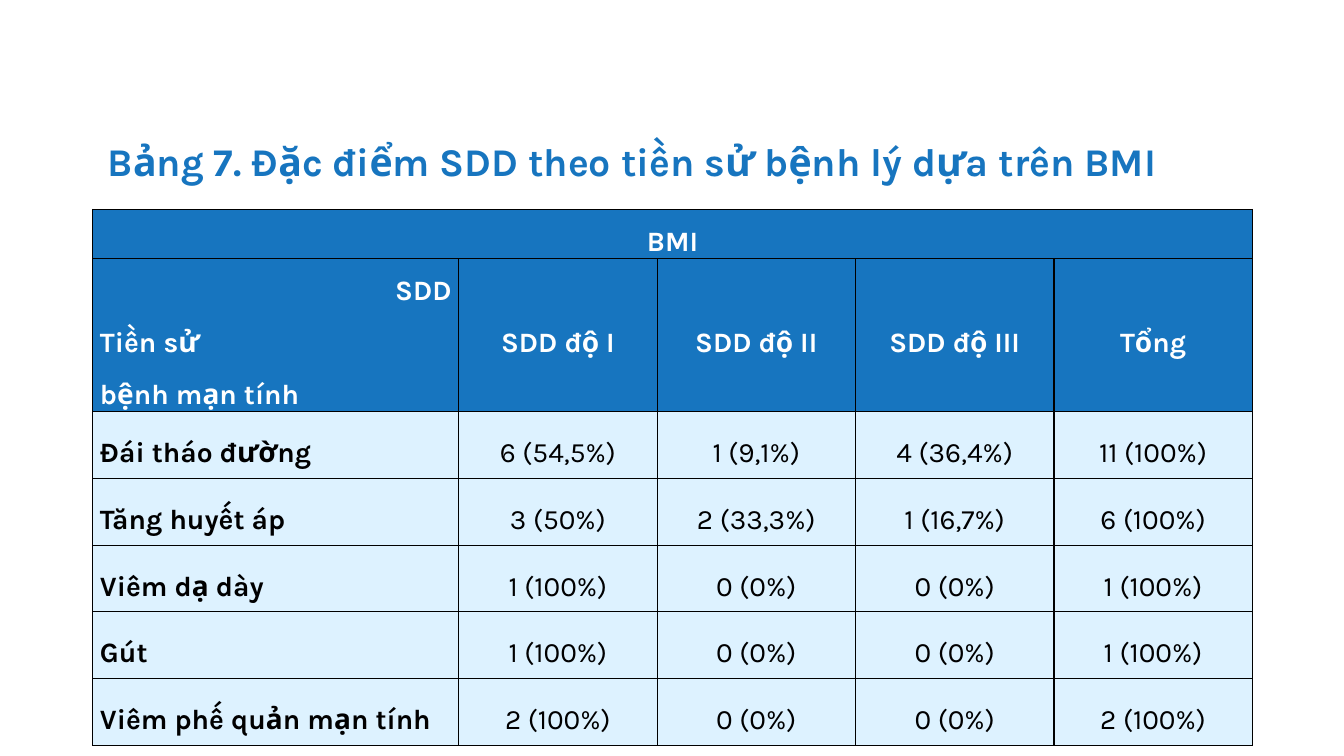
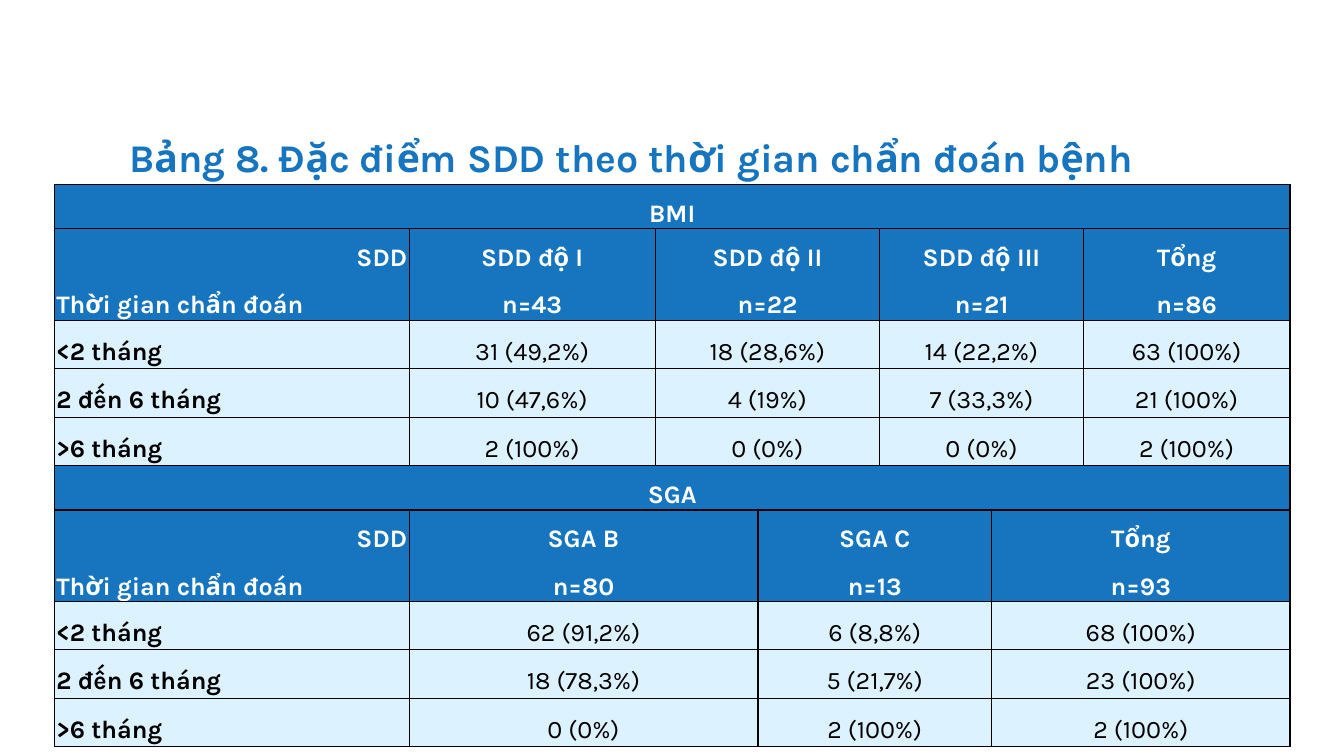
from itertools import chain

from lxml import etree
from pptx import Presentation
from pptx.dml.color import RGBColor
from pptx.enum import text
from pptx.oxml import ns
from pptx.util import Cm, Pt

# Shared look
FONT = "Karla"
BLUE, PALE, WHITE, BLACK = "1775BF", "DDF2FF", "FFFFFF", "000000"
LEFT, CENTER, RIGHT = text.PP_ALIGN.LEFT, text.PP_ALIGN.CENTER, text.PP_ALIGN.RIGHT
TITLE_ONLY = 5


def rgb(color):
    return RGBColor.from_string(color)


def add_run(p, words, size=18, color=BLACK, bold=False):
    r = p.add_run()
    r.text = words
    r.font.name = FONT
    r.font.size = Pt(size)
    r.font.bold = bold
    r.font.color.rgb = rgb(color)


def add_titled_slide(prs, title, left, top, width):
    s = prs.slides.add_slide(prs.slide_layouts[TITLE_ONLY])
    sp = s.shapes.title
    sp.left, sp.top, sp.width, sp.height = Cm(left), Cm(top), Cm(width), Cm(1.45)
    tf = sp.text_frame
    tf.word_wrap = True
    tf.auto_size = text.MSO_AUTO_SIZE.NONE
    tf.vertical_anchor = text.MSO_ANCHOR.TOP
    p = tf.paragraphs[0]
    p.alignment = LEFT
    add_run(p, title, size=28, color=BLUE, bold=True)
    return s


def set_borders(cell, color=BLACK, width=1):
    tc_pr = cell._tc.get_or_add_tcPr()
    for side in ("a:lnL", "a:lnR", "a:lnT", "a:lnB"):
        ln = etree.SubElement(tc_pr, ns.qn(side), w=str(Pt(width)))
        fill = etree.SubElement(ln, ns.qn("a:solidFill"))
        etree.SubElement(fill, ns.qn("a:srgbClr"), val=color)


def style_cell(cell, fill, inset):
    set_borders(cell)
    cell.fill.solid()
    cell.fill.fore_color.rgb = rgb(fill)
    cell.vertical_anchor = text.MSO_ANCHOR.MIDDLE
    cell.margin_left = cell.margin_right = Cm(inset)
    cell.margin_top = cell.margin_bottom = 0


def write_cell(cell, words, aligns, **font):
    """Write one paragraph per line; the last alignment serves all later lines."""
    tf = cell.text_frame
    for i, line in enumerate(words.split("\n")):
        p = tf.add_paragraph() if i else tf.paragraphs[0]
        p.alignment = aligns[min(i, len(aligns) - 1)]
        p.line_spacing = 1.5
        p.space_before = p.space_after = Pt(1)
        add_run(p, line, **font)


def add_section(tbl, first_row, section, size, inset):
    """Fill a banner row, a header row and the body rows."""
    banner, spans, *rows = section
    for i, values in enumerate([[banner], *rows]):
        row, is_head, col = first_row + i, i < 2, 0
        for cell in tbl.rows[row].cells:
            style_cell(cell, BLUE if is_head else PALE, inset)
        for j, words in enumerate(values):
            span = spans[j] if i else len(tbl.columns)
            cell = tbl.cell(row, col)
            if span > 1:
                cell.merge(tbl.cell(row, col + span - 1))
            is_label = i > 0 and j == 0
            aligns = [CENTER]
            if is_label:
                aligns = [RIGHT, LEFT] if is_head else [LEFT]
            write_cell(cell, words, aligns, size=size, bold=is_head or is_label,
                       color=WHITE if is_head else BLACK)
            col += span
    return first_row + 1 + len(rows)


def add_data_table(s, left, top, cols, heights, sections, size, inset):
    """heights: banner, header and body row heights in cm."""
    banner, header, body = heights
    row_heights = list(chain.from_iterable(
        [banner, header] + [body] * (len(section) - 3) for section in sections))
    tbl = s.shapes.add_table(len(row_heights), len(cols), Cm(left), Cm(top),
                             Cm(sum(cols)), Cm(sum(row_heights))).table
    tbl.first_row = tbl.horz_banding = False
    for column, width in zip(tbl.columns, cols):
        column.width = Cm(width)
    for row, height in zip(tbl.rows, row_heights):
        row.height = Cm(height)
    first_row = 0
    for section in sections:
        first_row = add_section(tbl, first_row, section, size, inset)


# Each section: banner, column spans, header row, body rows
HISTORY = [
    ["BMI", [1] * 5,
     ["SDD\nTiền sử\nbệnh mạn tính", "SDD độ I", "SDD độ II", "SDD độ III", "Tổng"],
     ["Đái tháo đường", "6 (54,5%)", "1 (9,1%)", "4 (36,4%)", "11 (100%)"],
     ["Tăng huyết áp", "3 (50%)", "2 (33,3%)", "1 (16,7%)", "6 (100%)"],
     ["Viêm dạ dày", "1 (100%)", "0 (0%)", "0 (0%)", "1 (100%)"],
     ["Gút", "1 (100%)", "0 (0%)", "0 (0%)", "1 (100%)"],
     ["Viêm phế quản mạn tính", "2 (100%)", "0 (0%)", "0 (0%)", "2 (100%)"]],
]

TIME_CORNER = "SDD\nThời gian chẩn đoán"
DIAGNOSIS_TIME = [
    ["BMI", [1, 1, 2, 2, 1],
     [TIME_CORNER, "SDD độ I\nn=43", "SDD độ II\nn=22", "SDD độ III\nn=21", "Tổng\nn=86"],
     ["<2 tháng", "31 (49,2%)", "18 (28,6%)", "14 (22,2%)", "63 (100%)"],
     ["2 đến 6 tháng", "10 (47,6%)", "4 (19%)", "7 (33,3%)", "21 (100%)"],
     [">6 tháng", "2 (100%)", "0 (0%)", "0 (0%)", "2 (100%)"]],
    ["SGA", [1, 2, 2, 2],
     [TIME_CORNER, "SGA B\nn=80", "SGA C\nn=13", "Tổng\nn=93"],
     ["<2 tháng", "62 (91,2%)", "6 (8,8%)", "68 (100%)"],
     ["2 đến 6 tháng", "18 (78,3%)", "5 (21,7%)", "23 (100%)"],
     [">6 tháng", "0 (0%)", "2 (100%)", "2 (100%)"]],
]


def main():
    prs = Presentation()
    prs.slide_width, prs.slide_height = Cm(33.87), Cm(19.05)

    # Medical history
    s = add_titled_slide(prs, "Bảng 7. Đặc điểm SDD theo tiền sử bệnh lý dựa trên BMI",
                         left=2.46, top=3.33, width=28.9)
    add_data_table(s, 2.34, 5.28, [9.22] + [5] * 4, (0.76, 2.62, 1.68),
                   HISTORY, size=20, inset=0.18)

    # Time since diagnosis
    s = add_titled_slide(prs, "Bảng 8. Đặc điểm SDD theo thời gian chẩn đoán bệnh",
                         left=3, top=3.23, width=27.86)
    add_data_table(s, 1.37, 4.65, [8.94, 6.2, 2.59, 3.07, 2.82, 2.31, 5.21],
                   (0.58, 1.85, 1.22), DIAGNOSIS_TIME, size=18, inset=0.05)

    prs.save("out.pptx")


if __name__ == "__main__":
    main()
